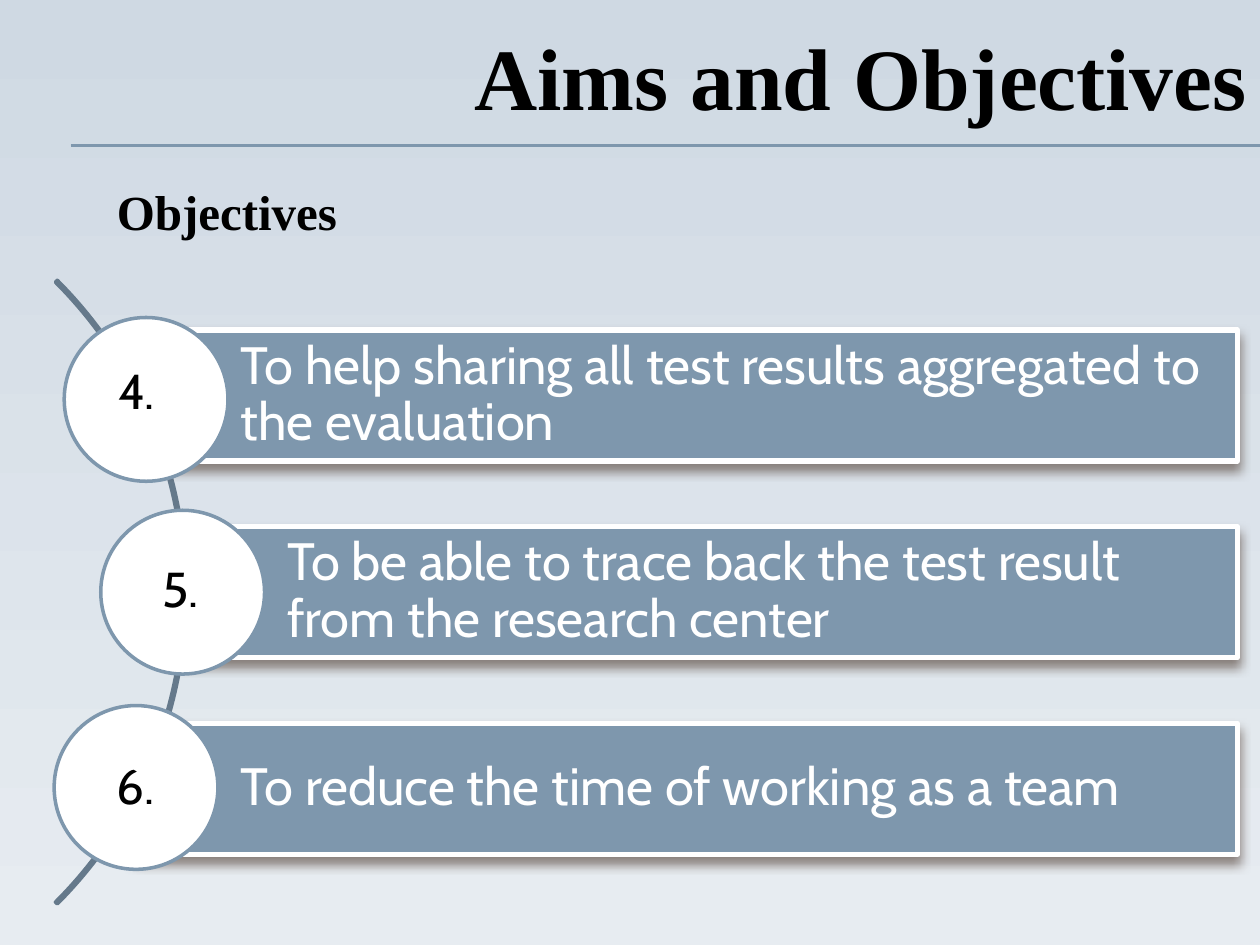
"""Build the Aims and Objectives slide with three numbered objectives along an arc."""
from lxml.etree import SubElement
from pptx import Presentation
from pptx.dml.color import RGBColor
from pptx.enum.shapes import MSO_CONNECTOR, MSO_SHAPE
from pptx.enum.text import MSO_ANCHOR, MSO_AUTO_SIZE, PP_ALIGN
from pptx.oxml.ns import qn
from pptx.util import Inches, Pt

BLACK = RGBColor(0x00, 0x00, 0x00)
WHITE = RGBColor(0xFF, 0xFF, 0xFF)
BLUE = RGBColor(0x7E, 0x97, 0xAD)
SLATE = RGBColor(0x65, 0x79, 0x8B)
SHADOW = RGBColor(0x4E, 0x3B, 0x30)
BG_STOPS = [RGBColor(0xCF, 0xD9, 0xE3), RGBColor(0xE7, 0xEC, 0xF1)]

TITLE = {"name": "Times New Roman", "size": Pt(50), "bold": True}
HEADING = {"name": "Times New Roman", "size": Pt(28), "bold": True}
NUMBER = {"name": "Cabin", "size": Pt(28)}
BODY = {"name": "Cabin", "size": Pt(30)}

LABELS = [
    ("Aims and Objectives", (1.46, 0.13, 8.54, 0.94), TITLE, PP_ALIGN.RIGHT),
    ("Objectives", (0.83, 1.39, 6.46, 1.04), HEADING, PP_ALIGN.LEFT),
]
OBJECTIVES = [
    ("4.", "To help sharing all test results aggregated to the evaluation", 1.08, 0.51, (0.84, 2.81)),
    ("5.", "To be able to trace back the test result from the research center", 1.45, 0.8, (1.19, 4.38)),
    ("6.", "To reduce the time of working as a team", 1.08, 0.43, (0.83, 5.95)),
]
RULES = [1.15, 1.16]
BAR_TOP, BAR_STEP, BAR_RIGHT, BAR_H = 2.62, 1.56, 9.82, 1.04
CIRCLE = 1.3
CIRCLE_TOPS = [2.52, 4.05, 5.6]


def write(tf, text, style, color, align=PP_ALIGN.LEFT):
    tf.word_wrap = True
    p = tf.paragraphs[0]
    p.alignment = align
    r = p.add_run()
    r.text = text
    for key, value in style.items():
        setattr(r.font, key, value)
    r.font.color.rgb = color
    return p


def add_label(s, text, box, style, align=PP_ALIGN.LEFT):
    tf = s.shapes.add_textbox(*map(Inches, box)).text_frame
    tf.auto_size = MSO_AUTO_SIZE.SHAPE_TO_FIT_TEXT
    write(tf, text, style, BLACK, align)


def add_figure(s, kind, box, fill, line, width):
    sp = s.shapes.add_shape(kind, *map(Inches, box))
    sp.shadow.inherit = False
    sp.fill.solid()
    sp.fill.fore_color.rgb = fill
    sp.line.color.rgb = line
    sp.line.width = Pt(width)
    return sp


def add_bar(s, text, box):
    sp = add_figure(s, MSO_SHAPE.RECTANGLE, box, BLUE, WHITE, 3)
    effects = sp._element.spPr.find(qn("a:effectLst"))
    shadow = SubElement(effects, qn("a:outerShdw"), blurRad=str(Pt(6)), dist=str(Pt(4)),
                        dir="5400000", rotWithShape="0")
    color = SubElement(shadow, qn("a:srgbClr"), val=str(SHADOW))
    SubElement(color, qn("a:alpha"), val="60000")
    tf = sp.text_frame
    margins = {"margin_left": 0.83, "margin_right": 0.08, "margin_top": 0.08, "margin_bottom": 0.08}
    for key, value in margins.items():
        setattr(tf, key, Inches(value))
    tf.vertical_anchor = MSO_ANCHOR.MIDDLE
    write(tf, text, BODY, WHITE).line_spacing = 0.9


def add_rule(s, y):
    rule = s.shapes.add_connector(MSO_CONNECTOR.STRAIGHT, Inches(0.56), Inches(y), Inches(10), Inches(y))
    rule.line.color.rgb = BLUE
    rule.line.width = Pt(0.75)
    SubElement(rule._element.spPr, qn("a:effectLst"))


def main():
    prs = Presentation()
    prs.slide_width, prs.slide_height = Inches(10), Inches(7.5)
    s = prs.slides.add_slide(prs.slide_layouts[6])
    bg = s.background.fill
    bg.gradient()
    bg.gradient_angle = 270
    for stop, color, position in zip(bg.gradient_stops, BG_STOPS, (0, 1)):
        stop.color.rgb = color
        stop.position = position

    for y in RULES:
        add_rule(s, y)
    arc = add_figure(s, MSO_SHAPE.BLOCK_ARC, (-5.52, 1.2, 7, 7), SLATE, SLATE, 2)
    for i, value in enumerate((189, 27, 0.003)):
        arc.adjustments[i] = value

    for i, (number, text, bar_x, circle_x, spot) in enumerate(OBJECTIVES):
        add_bar(s, text, (bar_x, BAR_TOP + i * BAR_STEP, BAR_RIGHT - bar_x, BAR_H))
        add_figure(s, MSO_SHAPE.OVAL, (circle_x, CIRCLE_TOPS[i], CIRCLE, CIRCLE), WHITE, BLUE, 2)
        add_label(s, number, (*spot, 0.73, 0.57), NUMBER)
    for label in LABELS:
        add_label(s, *label)
    prs.save("out.pptx")


if __name__ == "__main__":
    main()
